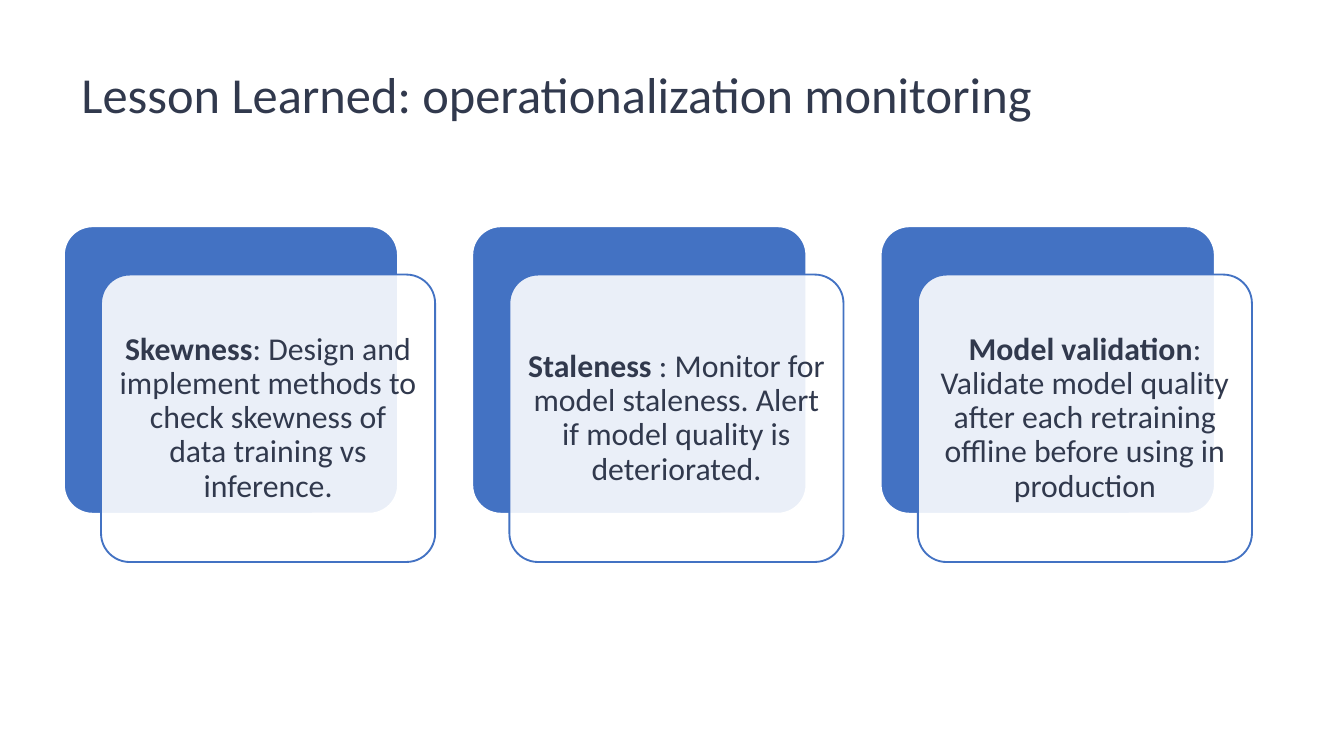
from dataclasses import dataclass

from lxml.etree import SubElement
from pptx import Presentation
from pptx.dml.color import RGBColor as Color
from pptx.enum.shapes import MSO_SHAPE as Shape
from pptx.enum.text import MSO_ANCHOR as Anchor, MSO_AUTO_SIZE as AutoSize, PP_ALIGN as Align
from pptx.oxml.ns import qn
from pptx.util import Pt


@dataclass(frozen=True)
class Theme:
    font: str = "Calibri"
    ink: Color = Color(0x31, 0x39, 0x4D)
    blue: Color = Color(0x43, 0x72, 0xC3)
    white: Color = Color(0xFF, 0xFF, 0xFF)
    title_size: float = 27
    card_size: float = 17
    corner: float = 0.1
    front_opacity: int = 89  # percent


class SlideBuilder:
    def __init__(self, page, theme):
        self.page = page
        self.theme = theme

    def set_text(self, frame, spans, size, align, insets):
        """Fill a text frame with one paragraph of (text, bold) spans."""
        frame.word_wrap = True
        frame.auto_size = AutoSize.NONE
        frame.vertical_anchor = Anchor.MIDDLE
        across, down = insets
        frame.margin_left = frame.margin_right = Pt(across)
        frame.margin_top = frame.margin_bottom = Pt(down)
        para = frame.paragraphs[0]
        para.alignment = align
        para.line_spacing = 0.9
        for text, bold in spans:
            span = para.add_run()
            span.text = text
            span.font.name = self.theme.font
            span.font.size = Pt(size)
            span.font.bold = bold
            span.font.color.rgb = self.theme.ink

    def title(self, text, left, top, width, height):
        box = self.page.shapes.title
        box.left, box.top, box.width, box.height = map(Pt, (left, top, width, height))
        self.set_text(box.text_frame, [(text, False)], self.theme.title_size, Align.LEFT, (5.4, 2.7))

    def panel(self, left, top, width, height, fill, line, opacity=100):
        box = self.page.shapes.add_shape(
            Shape.ROUNDED_RECTANGLE, *map(Pt, (left, top, width, height)))
        box.adjustments[0] = self.theme.corner
        box.shadow.inherit = False
        box.fill.solid()
        box.fill.fore_color.rgb = fill
        box.line.color.rgb = line
        box.line.width = Pt(1)
        if opacity < 100:
            color = box.element.spPr.find(qn("a:solidFill"))[0]
            SubElement(color, qn("a:alpha")).set("val", str(opacity * 1000))

    def label(self, spans, left, top, width, height):
        box = self.page.shapes.add_textbox(*map(Pt, (left, top, width, height)))
        self.set_text(box.text_frame, spans, self.theme.card_size, Align.CENTER, (5.1, 5.1))

    def card(self, heading, body, left, top, width, height):
        theme = self.theme
        shift_x, shift_y, inset = 19.9, 25.9, 4
        # Solid panel behind, translucent panel in front
        self.panel(left, top, width, height, theme.blue, theme.white)
        left, top = left + shift_x, top + shift_y
        self.panel(left, top, width, height, theme.white, theme.blue, theme.front_opacity)
        # Text inside the front panel
        self.label([(heading, True), (body, False)], left + inset, top + inset,
                   width - 2 * inset, height - 2 * inset)


CARDS = [
    ("Skewness", ": Design and implement methods to check skewness of data training vs inference."),
    ("Staleness ", ": Monitor for model staleness. Alert if model quality is deteriorated."),
    ("Model validation",
     ": Validate model quality after each retraining offline before using in production"),
]


def main():
    deck = Presentation()
    deck.slide_width, deck.slide_height = Pt(720), Pt(405)
    title_only = deck.slide_layouts[5]
    builder = SlideBuilder(deck.slides.add_slide(title_only), Theme())

    # Title
    builder.title("Lesson Learned: operationalization monitoring", 38.2, 18.7, 643.6, 67)

    # Row of three cards at an equal pitch
    first_left, pitch = 34.2, 218.8
    for index, (heading, body) in enumerate(CARDS):
        builder.card(heading, body, first_left + index * pitch, 121.2, 179, 154)

    deck.save("out.pptx")


if __name__ == "__main__":
    main()
